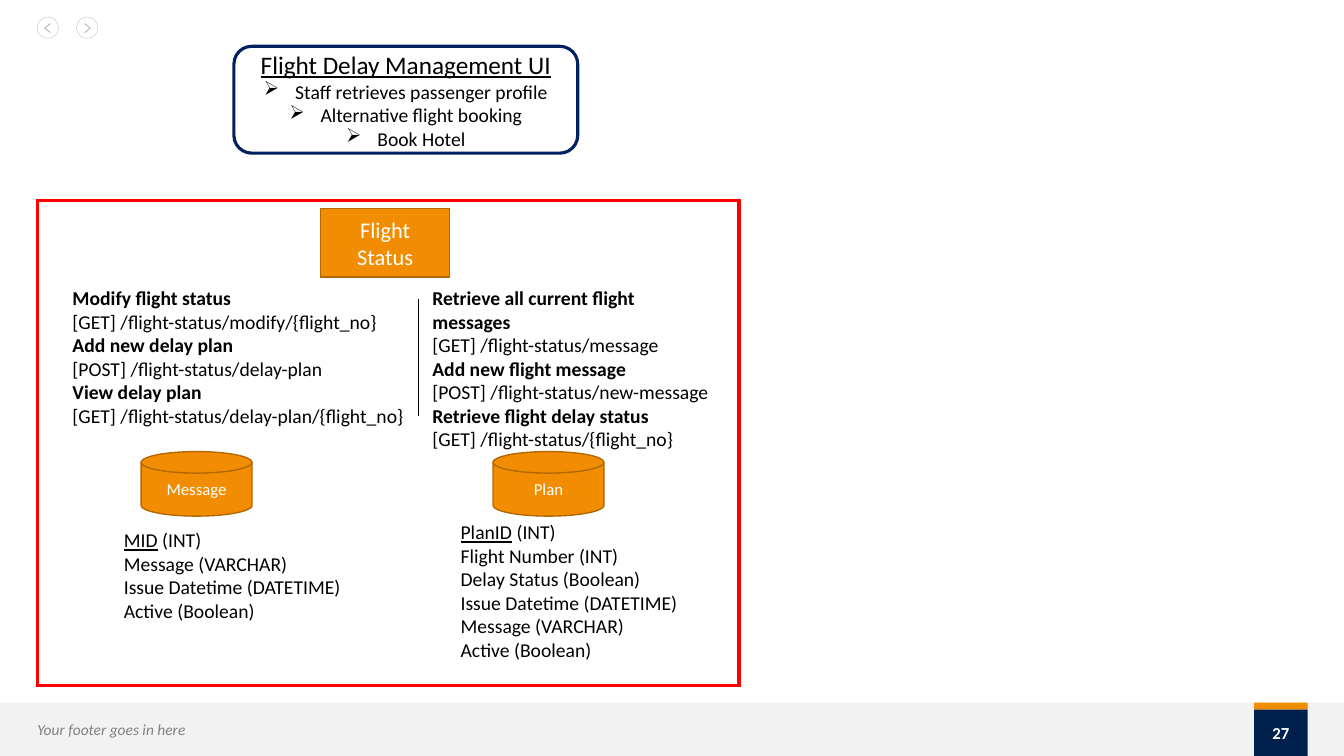
from dataclasses import dataclass, field
from typing import Any, NamedTuple

from lxml import etree
from pptx import Presentation
from pptx import util as u
from pptx.dml.color import RGBColor
from pptx.enum import shapes, text
from pptx.oxml import ns

WHITE = RGBColor(0xFF, 0xFF, 0xFF)
BLACK = RGBColor(0, 0, 0)
PALE = RGBColor(0xF2, 0xF2, 0xF2)
SILVER = RGBColor(0xBF, 0xBF, 0xBF)
ASH = RGBColor(0xA6, 0xA6, 0xA6)
GRAY = RGBColor(0x80, 0x80, 0x80)
ORANGE = RGBColor(0xF2, 0x8D, 0x01)
RUST = RGBColor(0xB3, 0x68, 0x01)
NAVY = RGBColor(0, 0x21, 0x4E)
BLUE = RGBColor(0, 0x20, 0x60)
RED = RGBColor(0xFF, 0, 0)

FORM = shapes.MSO_SHAPE
MID = text.MSO_ANCHOR.MIDDLE
TOP = text.MSO_ANCHOR.TOP
CENTER = text.PP_ALIGN.CENTER
LEFT = text.PP_ALIGN.LEFT

Place = tuple[float, float, float, float]
Format = dict[str, Any]


class Run(NamedTuple):
    words: str
    form: Format = {}


class Line(NamedTuple):
    runs: list[Run]
    bullet: bool = False


@dataclass
class Box:
    place: Place
    kind: Any = None  # None makes a text box
    fill: RGBColor | None = None
    edge: RGBColor | None = None
    weight: float = 1
    lines: list[Line] = field(default_factory=list)
    size: float = 14
    ink: RGBColor = BLACK
    form: Format = field(default_factory=dict)
    align: Any = CENTER
    anchor: Any = MID
    inset: bool = True
    grow: bool = False
    drum: bool = False


def plain(*words: str) -> list[Line]:
    return [Line([Run(word)]) for word in words]


def routes(*pairs: tuple[str, str]) -> list[Line]:
    """Bold purpose above each endpoint."""
    return [Line([Run(words, {"bold": bold})])
            for pair in pairs for words, bold in zip(pair, (True, False))]


def fields(key: str, *rest: str) -> list[Line]:
    """Underlined primary key, then the other columns."""
    return [Line([Run(key, {"underline": True}), Run(" (INT)")]), *plain(*rest)]


def note(place: Place, lines: list[Line], grow: bool = False) -> Box:
    return Box(place, lines=lines, align=LEFT, anchor=TOP, grow=grow)


def store(left: float, name: str) -> Box:
    return Box((left, 4.25, 0.64, 1.1), FORM.FLOWCHART_DIRECT_ACCESS_STORAGE,
               ORANGE, RUST, lines=plain(name), size=12, ink=WHITE, drum=True)


def write(frame: Any, box: Box) -> None:
    frame.word_wrap = True
    frame.vertical_anchor = box.anchor
    if box.grow:
        frame.auto_size = text.MSO_AUTO_SIZE.SHAPE_TO_FIT_TEXT
    if not box.inset:
        for side in ("left", "right", "top", "bottom"):
            setattr(frame, f"margin_{side}", 0)
    for index, line in enumerate(box.lines):
        para = frame.add_paragraph() if index else frame.paragraphs[0]
        para.alignment = box.align
        if line.bullet:
            props = para._p.get_or_add_pPr()
            props.set("marL", str(u.Inches(0.31)))
            props.set("indent", str(u.Inches(-0.31)))
            etree.SubElement(props, ns.qn("a:buChar")).set("char", "➢")
        for words, form in line.runs:
            run = para.add_run()
            run.text = words
            run.font.color.rgb = box.ink
            style = {"name": "Calibri", "size": u.Pt(box.size), **box.form, **form}
            for name, value in style.items():
                setattr(run.font, name, value)


def paint(shape: Any, fill: RGBColor | None, edge: RGBColor | None, weight: float) -> None:
    shape.shadow.inherit = False
    if fill is None:
        shape.fill.background()
    else:
        shape.fill.solid()
        shape.fill.fore_color.rgb = fill
    if edge is None:
        shape.line.fill.background()
    else:
        shape.line.color.rgb = edge
        shape.line.width = u.Pt(weight)
        join = etree.SubElement(shape.line._get_or_add_ln(), ns.qn("a:miter"))
        join.set("lim", "800000")


def draw(tree: Any, box: Box) -> None:
    place = [u.Inches(value) for value in box.place]
    if box.kind is None:
        shape = tree.add_textbox(*place)
    else:
        shape = tree.add_shape(box.kind, *place)
        paint(shape, box.fill, box.edge, box.weight)
    if box.drum:
        shape.rotation = 270
        shape.text_frame._txBody.bodyPr.set("vert", "vert")
    if box.lines:
        write(shape.text_frame, box)


def arrow(tree: Any, left: float, tip: float, way: int) -> None:
    """Round page button; way is 1 for back and -1 for next."""
    draw(tree, Box((left, 0.17, 0.21, 0.21), FORM.OVAL, WHITE, SILVER, 0.25))
    spots = [(u.Inches(tip + way * x), u.Inches(0.23 + y)) for x, y in
             ((0.06, 0), (0, 0.05), (0.06, 0.1), (0.06, 0.09), (0.01, 0.05), (0.06, 0.01))]
    outline = tree.build_freeform(*spots[0])
    outline.add_line_segments(spots[1:])
    paint(outline.convert_to_shape(), ASH, None, 0)


def rule(tree: Any, x: float, top: float, base: float) -> None:
    line = tree.add_connector(shapes.MSO_CONNECTOR.STRAIGHT, u.Inches(x), u.Inches(top),
                              u.Inches(x), u.Inches(base))
    line.line.color.rgb = BLACK
    line.line.width = u.Pt(0.5)
    etree.SubElement(line._element.spPr, ns.qn("a:effectLst"))


TASKS = ("Staff retrieves passenger profile", "Alternative flight booking", "Book Hotel")
FRAME = [
    Box((12.44, 6.97, 0.53, 0.07), FORM.RECTANGLE, ORANGE),
    Box((0.37, 7.14, 4.5, 0.19), lines=plain("Your footer goes in here"), size=11,
        ink=GRAY, form={"italic": True}, align=LEFT, inset=False, grow=True),
    Box((12.44, 7.04, 0.53, 0.46), FORM.RECTANGLE, NAVY, lines=plain("27"), size=12,
        ink=WHITE, form={"bold": True}),
]
BODY = [
    Box((2.32, 0.46, 3.41, 1.06), FORM.ROUNDED_RECTANGLE, edge=BLUE, weight=2.25, lines=[
        Line([Run("Flight Delay Management UI", {"size": u.Pt(18), "underline": True})]),
        *(Line([Run(task)], bullet=True) for task in TASKS)]),
    Box((0.37, 1.99, 6.96, 4.81), FORM.RECTANGLE, edge=RED, weight=2.25),
    Box((3.18, 2.07, 1.28, 0.68), FORM.RECTANGLE, ORANGE, RUST,
        lines=plain("Flight", "Status"), size=16, ink=WHITE),
    store(1.63, "Message"),
    store(5.12, "Plan"),
    note((4.19, 2.79, 3, 1.54), routes(
        ("Retrieve all current flight messages", "[GET] /flight-status/message"),
        ("Add new flight message", "[POST] /flight-status/new-message"),
        ("Retrieve flight delay status", "[GET] /flight-status/{flight_no}"))),
    note((0.62, 2.79, 3.49, 1.51), routes(
        ("Modify flight status", "[GET] /flight-status/modify/{flight_no}"),
        ("Add new delay plan", "[POST] /flight-status/delay-plan"),
        ("View delay plan", "[GET] /flight-status/delay-plan/{flight_no}")), grow=True),
    note((1.13, 5.19, 2.39, 1.08), fields(
        "MID", "Message (VARCHAR)", "Issue Datetime (DATETIME)", "Active (Boolean)")),
    note((4.47, 5.11, 2.39, 1.54), fields(
        "PlanID", "Flight Number (INT)", "Delay Status (Boolean)",
        "Issue Datetime (DATETIME)", "Message (VARCHAR)", "Active (Boolean)")),
]


def main() -> None:
    deck = Presentation()
    deck.slide_width, deck.slide_height = u.Inches(13.33), u.Inches(7.5)
    tree = deck.slides.add_slide(deck.slide_layouts[6]).shapes
    draw(tree, Box((0, 6.97, 13.33, 0.53), FORM.RECTANGLE, PALE))
    arrow(tree, 0.37, 0.44, 1)
    arrow(tree, 0.76, 0.9, -1)
    for box in FRAME + BODY:
        draw(tree, box)
    rule(tree, 4.15, 2.97, 4.13)
    deck.save("out.pptx")


if __name__ == "__main__":
    main()
